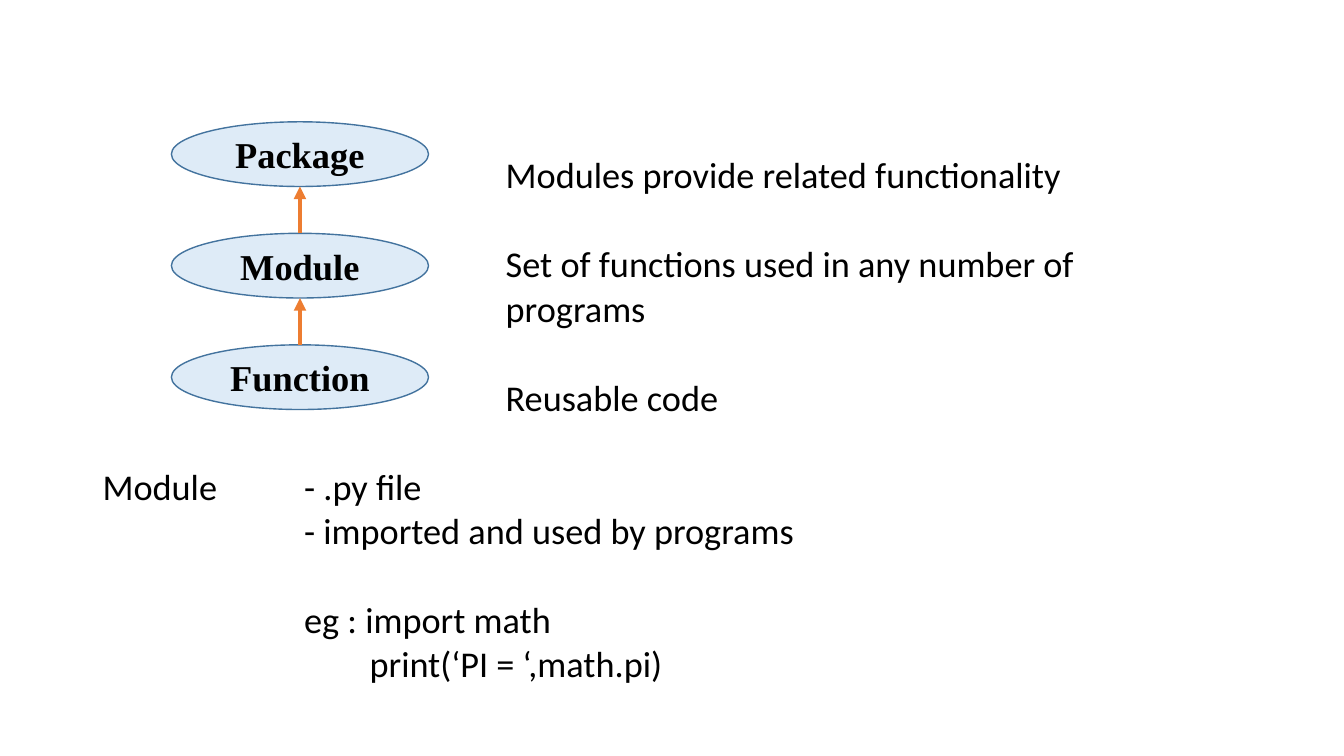
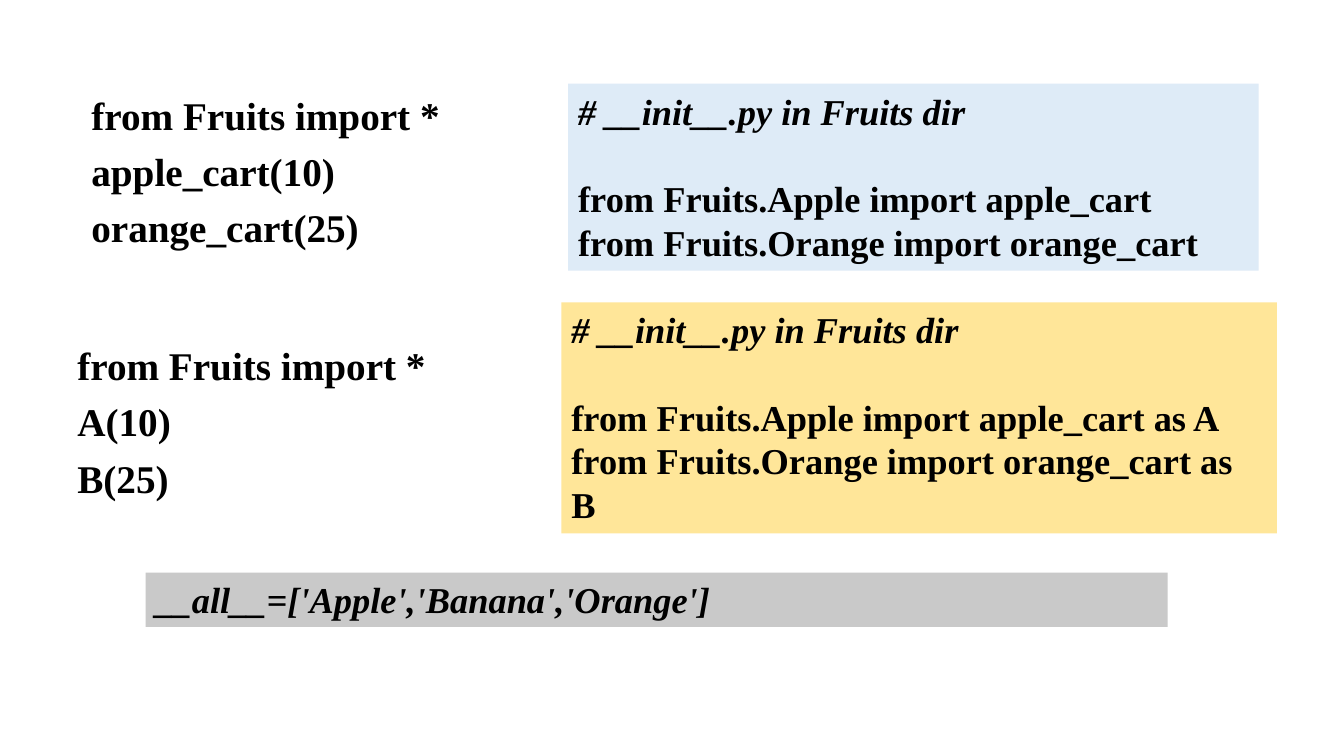
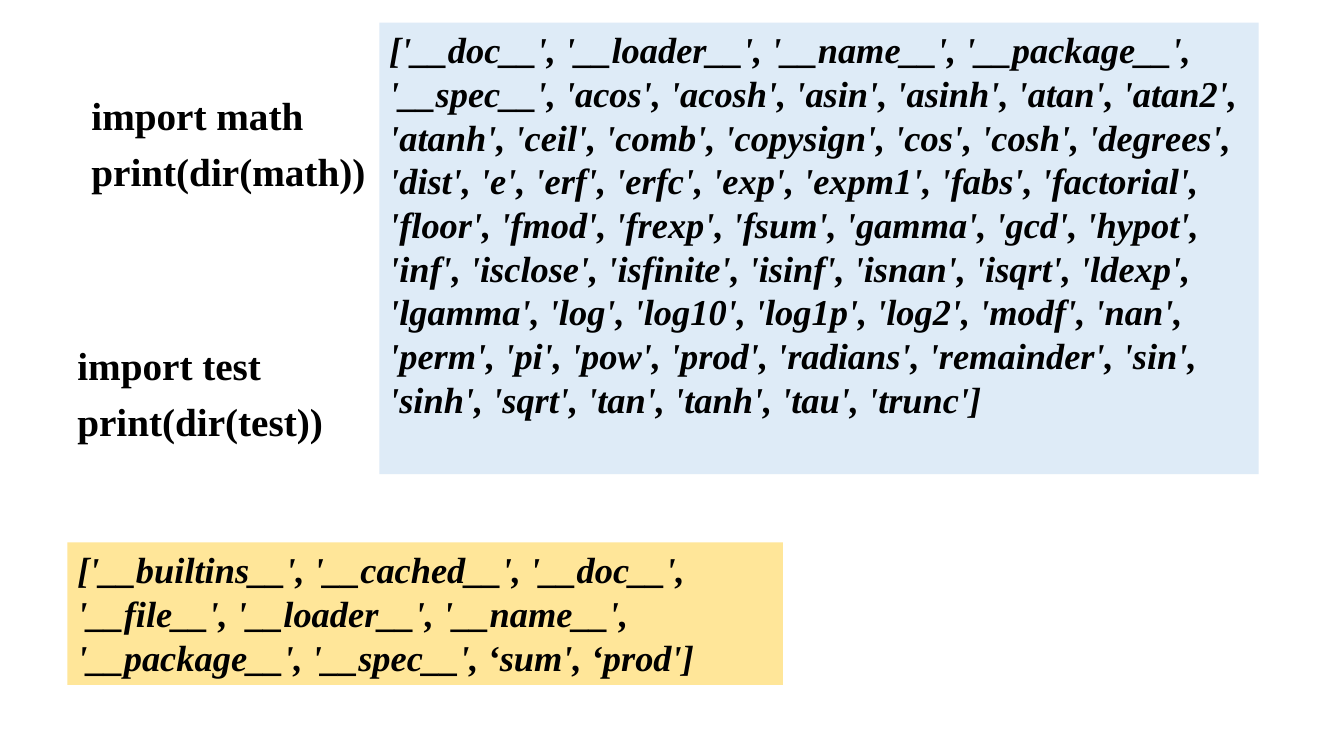
"""Three slides on Python modules and packages."""
from lxml import etree
from pptx import Presentation
from pptx.dml.color import RGBColor
from pptx.enum.shapes import MSO_CONNECTOR, MSO_SHAPE
from pptx.enum.text import MSO_ANCHOR, MSO_AUTO_SIZE, PP_ALIGN
from pptx.oxml.ns import qn
from pptx.util import Cm, Pt

OVAL = MSO_SHAPE.OVAL
STRAIGHT = MSO_CONNECTOR.STRAIGHT
MIDDLE = MSO_ANCHOR.MIDDLE
FIXED = MSO_AUTO_SIZE.NONE
LEFT, CENTER = PP_ALIGN.LEFT, PP_ALIGN.CENTER

HUES = {"ink": "000000", "blue": "DEEBF7", "gold": "FFE699",
        "gray": "C9C9C9", "edge": "43739E", "arrow": "ED7D31"}
SERIF = "Times New Roman"
NOTE = {"font": "Calibri", "size": 25.9, "bold": False, "line": 0.7, "gap": 9.8}
CODE = {"font": SERIF, "size": 28, "bold": True, "line": 0.9, "gap": 10}
CARD = {"font": SERIF, "size": 26, "bold": True, "line": 1, "gap": 0}
SKIP = {"gap": 31.2}
SLANT = {"slant": True}

FAR, NEAR, DEEP = 10.16, 5.08, 6.73
BREAK = 41.8
NOTES = [
    ("Modules provide related functionality", {"left": FAR}),
    ("Set of functions used in any number of", {"left": FAR, "gap": BREAK}),
    ("programs", {"left": FAR}),
    ("Reusable code", {"left": FAR, "gap": BREAK}),
    ("Module\t\t- .py file", {"gap": BREAK}),
    ("- imported and used by programs", {"left": NEAR}),
    ("eg : import math", {"left": NEAR, "gap": BREAK}),
    ("print(‘PI = ‘,math.pi)", {"left": DEEP}),
]
NOTE_BOX = (2.33, 4.02, 29.21, 13.15)

LEVELS = ["Package", "Module", "Function"]
OVAL_BOX = (4.32, 3.07, 6.48, 1.63)
STEP = 2.81

UPPER = (2.05, 2.3, 13.36, 6.91)
LOWER = (1.7, 8.61, 13.36, 6.91)
HEAD = ("# __init__.py in Fruits dir", SLANT)
MATH = (
    "['__doc__', '__loader__', '__name__', '__package__', '__spec__', "
    "'acos', 'acosh', 'asin', 'asinh', 'atan', 'atan2', 'atanh', 'ceil', "
    "'comb', 'copysign', 'cos', 'cosh', 'degrees', 'dist', 'e', 'erf', "
    "'erfc', 'exp', 'expm1', 'fabs', 'factorial', 'floor', 'fmod', 'frexp', "
    "'fsum', 'gamma', 'gcd', 'hypot', 'inf', 'isclose', 'isfinite', 'isinf', "
    "'isnan', 'isqrt', 'ldexp', 'lgamma', 'log', 'log10', 'log1p', 'log2', "
    "'modf', 'nan', 'perm', 'pi', 'pow', 'prod', 'radians', 'remainder', "
    "'sin', 'sinh', 'sqrt', 'tan', 'tanh', 'tau', 'trunc']"
)
TEST = (
    "['__builtins__', '__cached__', '__doc__', '__file__', '__loader__', "
    "'__name__', '__package__', '__spec__', ‘sum', ‘prod']"
)
PAGES = [
    {"upper": [("from Fruits import *", {}), ("apple_cart(10)", {}),
               ("orange_cart(25)", {})],
     "lower": [("from Fruits import *", {}), ("A(10)", {}), ("B(25)", {})],
     "cards": [
         ("blue", (14.32, 2.11, 17.4, 4.71),
          [HEAD, ("from Fruits.Apple import apple_cart", SKIP),
           ("from Fruits.Orange import orange_cart", {})]),
         ("gold", (14.15, 7.62, 18.03, 5.82),
          [HEAD, ("from Fruits.Apple import apple_cart as A", SKIP),
           ("from Fruits.Orange import orange_cart as B", {})]),
         ("gray", (3.67, 14.43, 25.76, 1.37),
          [("__all__=['Apple','Banana','Orange']", SLANT)])]},
    {"upper": [("import math", {}), ("print(dir(math))", {})],
     "lower": [("import test", {}), ("print(dir(test))", {})],
     "cards": [("blue", (9.56, 0.57, 22.16, 11.38), [(MATH, SLANT)]),
               ("gold", (1.7, 13.67, 18.03, 3.59), [(TEST, SLANT)])]},
]


def hue(name):
    return RGBColor.from_string(HUES[name])


def place(box):
    return [Cm(part) for part in box]


def write(shape, rows, style, align=LEFT):
    frame = shape.text_frame
    frame.word_wrap = True
    frame.auto_size = FIXED
    for num, (text, extra) in enumerate(rows):
        look = {**style, **extra}
        para = frame.add_paragraph() if num else frame.paragraphs[0]
        para.text = text
        para.alignment = align
        para.line_spacing = look["line"]
        para.space_before = Pt(look["gap"])
        font = para.font
        font.name, font.size = look["font"], Pt(look["size"])
        font.bold, font.italic = look["bold"], look.get("slant", False)
        font.color.rgb = hue("ink")
        props = para._p.get_or_add_pPr()
        props.set("marL", str(Cm(look.get("left", 0))))
        props.set("indent", "0")
        props.find(qn("a:spcBef")).addnext(etree.Element(qn("a:buNone")))


def start(deck, box, rows, style):
    slide = deck.slides.add_slide(deck.slide_layouts[1])
    title = slide.shapes.title._element
    title.getparent().remove(title)
    body = slide.placeholders[1]
    body.left, body.top, body.width, body.height = place(box)
    write(body, rows, style)
    return slide


def add_box(slide, box, rows, style, fill=None):
    shape = slide.shapes.add_textbox(*place(box))
    if fill:
        shape.fill.solid()
        shape.fill.fore_color.rgb = hue(fill)
    write(shape, rows, style)


def add_oval(slide, num, text):
    left, top, width, height = OVAL_BOX
    oval = slide.shapes.add_shape(
        OVAL, *place((left, top + num * STEP, width, height)))
    oval.shadow.inherit = False
    oval.fill.solid()
    oval.fill.fore_color.rgb = hue("blue")
    oval.line.color.rgb = hue("edge")
    oval.line.width = Pt(1)
    oval.text_frame.vertical_anchor = MIDDLE
    write(oval, [(text, {})], CARD, CENTER)
    return oval


def add_arrow(slide, low, high):
    mid = high.left + high.width // 2
    arrow = slide.shapes.add_connector(
        STRAIGHT, mid, low.top, mid, high.top + high.height)
    arrow.begin_connect(low, 0)
    arrow.line.color.rgb = hue("arrow")
    arrow.line.width = Pt(3)
    etree.SubElement(arrow.line._get_or_add_ln(), qn("a:tailEnd"), type="triangle")
    etree.SubElement(arrow._element.spPr, qn("a:effectLst"))


def main():
    deck = Presentation()
    deck.slide_width, deck.slide_height = Cm(33.87), Cm(19.05)

    slide = start(deck, NOTE_BOX, NOTES, NOTE)
    ovals = [add_oval(slide, num, text) for num, text in enumerate(LEVELS)]
    for high, low in zip(ovals, ovals[1:]):
        add_arrow(slide, low, high)

    for page in PAGES:
        slide = start(deck, UPPER, page["upper"], CODE)
        for fill, box, rows in page["cards"]:
            add_box(slide, box, rows, CARD, fill)
        add_box(slide, LOWER, page["lower"], CODE)

    deck.save("out.pptx")


if __name__ == "__main__":
    main()
